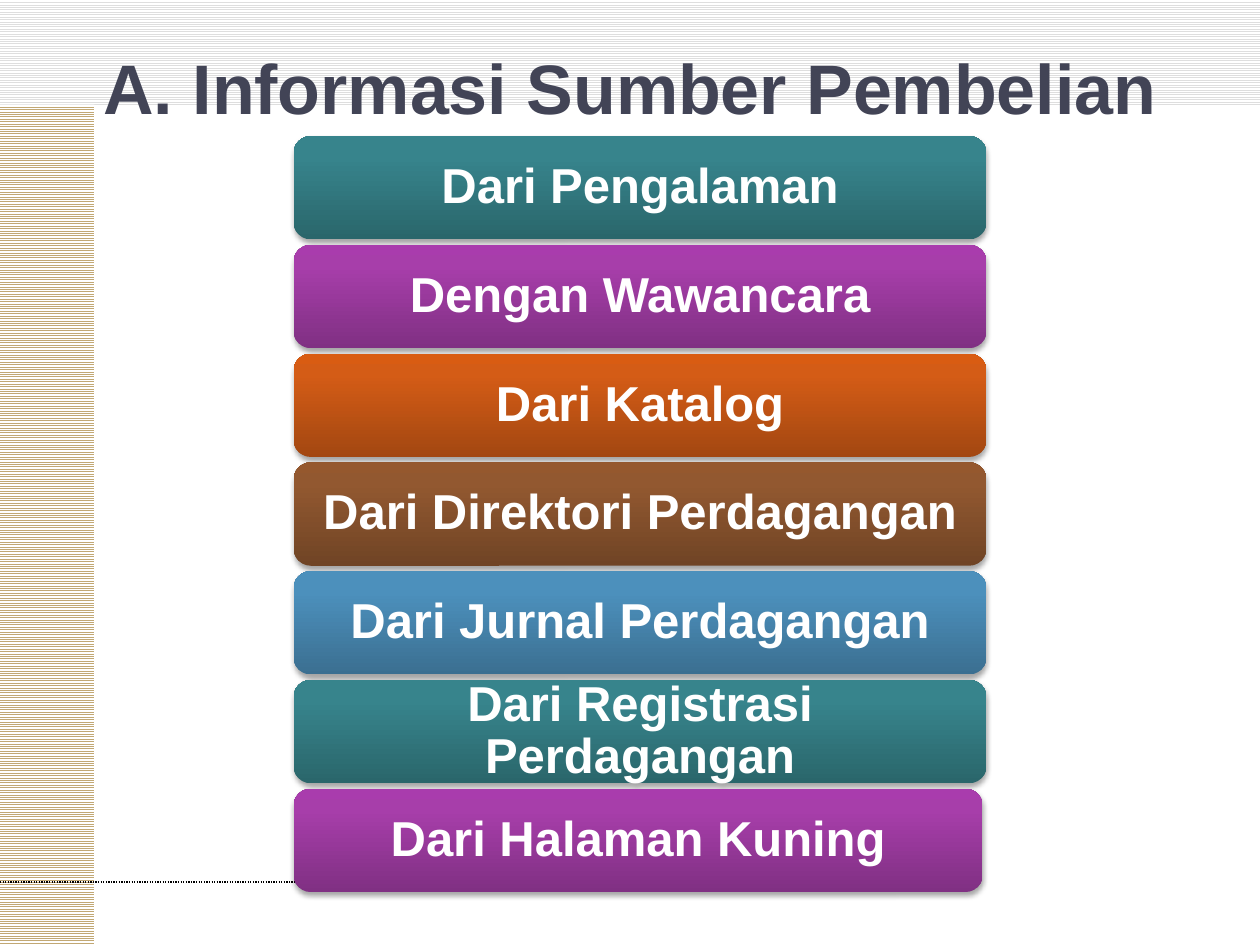
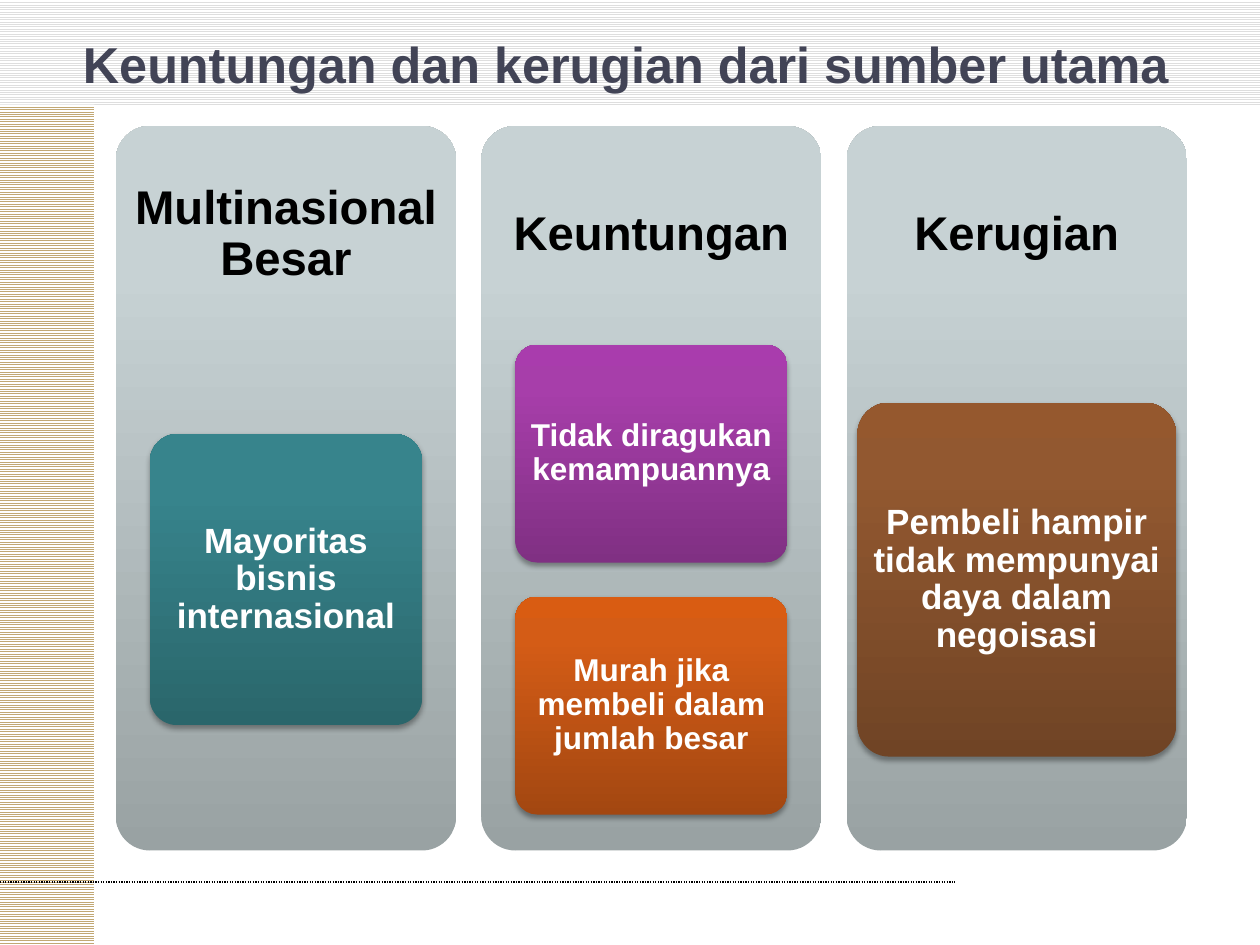
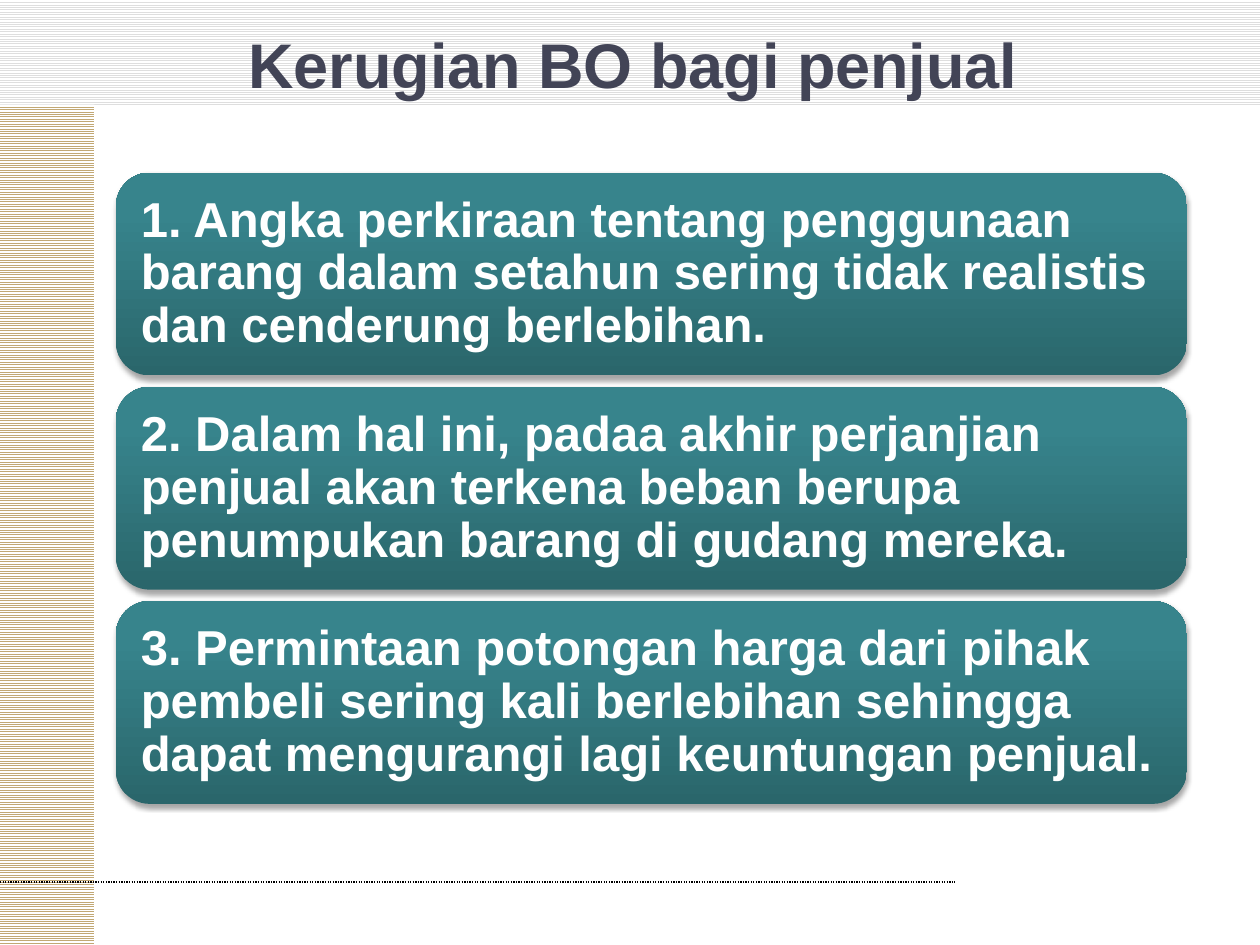
from lxml import etree
from pptx import Presentation
from pptx.dml.color import RGBColor
from pptx.enum.dml import MSO_LINE, MSO_PATTERN
from pptx.enum.shapes import MSO_CONNECTOR, MSO_SHAPE
from pptx.enum.text import MSO_ANCHOR, PP_ALIGN
from pptx.oxml import parse_xml
from pptx.oxml.ns import nsdecls, qn
from pptx.util import Inches, Pt

RECT, ROUND = MSO_SHAPE.RECTANGLE, MSO_SHAPE.ROUNDED_RECTANGLE
STRAIGHT = MSO_CONNECTOR.STRAIGHT
STRIPES, DOTTED = MSO_PATTERN.LIGHT_HORIZONTAL, MSO_LINE.ROUND_DOT
MIDDLE = MSO_ANCHOR.MIDDLE
LEFT, CENTER = PP_ALIGN.LEFT, PP_ALIGN.CENTER

FONT = "Arial"
WHITE, BLACK, INK = "FFFFFF", "000000", "424456"
TEAL = ("2A666B", "37848C", "36868E")
PURPLE = ("803083", "A73EAA", "A93CAD")
ORANGE = ("A34711", "D45C16", "D95C12")
BROWN = ("704425", "925830", "95582E")
BLUE = ("3B6F91", "4C90BC", "4A91BF")
GREY = ("99A2A3", "C7D2D4", "C8D3D5")

BANDS = [((0, 0, 10, 0.83), "DEDEDE"), ((0, 0.83, 0.75, 6.67), "C2A874")]

SOURCES_TITLE = "A. Informasi Sumber Pembelian"
SOURCES = [
    ("Dari Pengalaman", TEAL, 5.5),
    ("Dengan Wawancara", PURPLE, 5.5),
    ("Dari Katalog", ORANGE, 5.5),
    ("Dari Direktori Perdagangan", BROWN, 5.5),
    ("Dari Jurnal Perdagangan", BLUE, 5.5),
    ("Dari Registrasi Perdagangan", TEAL, 5.5),
    ("Dari Halaman Kuning", PURPLE, 5.47),
]

COMPARE_TITLE = "Keuntungan dan kerugian dari sumber utama "
COLUMNS = [
    ("Multinasional Besar", 2.16, 2.31, 20,
     [("Mayoritas bisnis internasional", TEAL)]),
    ("Keuntungan", 2.16, 1.73, 18,
     [("Tidak diragukan kemampuannya", PURPLE),
      ("Murah jika membeli dalam jumlah besar", ORANGE)]),
    ("Kerugian", 2.53, 2.81, 20,
     [("Pembeli hampir tidak mempunyai daya dalam negoisasi", BROWN)]),
]

SELLER_TITLE = "Kerugian BO bagi penjual"
SELLER_LOSSES = [
    "1. Angka perkiraan tentang penggunaan barang dalam setahun sering tidak "
    "realistis dan cenderung berlebihan.",
    "2. Dalam hal ini, padaa akhir perjanjian penjual akan terkena beban "
    "berupa penumpukan barang di gudang mereka.",
    "3. Permintaan potongan harga dari pihak pembeli sering kali berlebihan "
    "sehingga dapat mengurangi lagi keuntungan penjual.",
]


def rgb(value):
    """Turn a hex string into a colour."""
    return RGBColor.from_string(value)


def inches(box):
    """Convert a tuple of numbers to lengths."""
    return [Inches(v) for v in box]


def write(sp, text, size, color, align=CENTER, inset=(0.1, 0.05), spacing=1.0):
    """Put one bold, vertically centred paragraph into a shape."""
    tf = sp.text_frame
    tf.word_wrap = True
    tf.vertical_anchor = MIDDLE
    tf.margin_left = tf.margin_right = Inches(inset[0])
    tf.margin_top = tf.margin_bottom = Inches(inset[1])
    p = tf.paragraphs[0]
    p.text = text
    p.alignment = align
    p.line_spacing = spacing
    p.font.name, p.font.size, p.font.bold = FONT, Pt(size), True
    p.font.color.rgb = rgb(color)


def add_text(s, box, text, size, color, **style):
    """Add a text box."""
    write(s.shapes.add_textbox(*inches(box)), text, size, color, **style)


def add_card(s, box, colors, corner=0.1667, shadow=True):
    """Add a rounded rectangle with an upward gradient."""
    sp = s.shapes.add_shape(ROUND, *inches(box))
    sp.adjustments[0] = corner
    sp.line.fill.background()
    sp.shadow.inherit = False
    stops = "".join(
        f'<a:gs pos="{pos}"><a:srgbClr val="{color}"/></a:gs>'
        for pos, color in zip((0, 80000, 100000), colors))
    sp._element.spPr.find(qn("a:prstGeom")).addnext(parse_xml(
        f'<a:gradFill {nsdecls("a")} rotWithShape="1"><a:gsLst>{stops}</a:gsLst>'
        '<a:lin ang="16200000" scaled="0"/></a:gradFill>'))
    if shadow:
        sp._element.spPr.find(qn("a:effectLst")).append(parse_xml(
            f'<a:outerShdw {nsdecls("a")} blurRad="{Pt(3.1)}" dist="{Pt(1.8)}" '
            'dir="5400000" rotWithShape="0"><a:srgbClr val="000000">'
            '<a:alpha val="35000"/></a:srgbClr></a:outerShdw>'))
    return sp


def add_slide(prs, title, size, title_box=(0.5, 0.25, 9.05, 0.5)):
    """Add a slide with striped bands, dotted line and title."""
    s = prs.slides.add_slide(prs.slide_layouts[6])
    for box, color in BANDS:
        sp = s.shapes.add_shape(RECT, *inches(box))
        sp.shadow.inherit = False
        sp.line.fill.background()
        sp.fill.patterned()
        sp.fill.pattern = STRIPES
        sp.fill.fore_color.rgb = rgb(color)
        sp.fill.back_color.rgb = rgb(WHITE)
    rule = s.shapes.add_connector(STRAIGHT, *inches((0, 7, 7.58, 7)))
    rule.line.color.rgb = rgb(BLACK)
    rule.line.width = Pt(0.75)
    rule.line.dash_style = DOTTED
    etree.SubElement(rule._element.spPr, qn("a:effectLst"))
    add_text(s, title_box, title, size, INK)
    return s


def build_sources(prs):
    """Stack the information sources as bars."""
    s = add_slide(prs, SOURCES_TITLE, 40, (0.5, 0.3, 9, 0.78))
    top, pitch = 1.08, 0.8633
    for i, (text, colors, width) in enumerate(SOURCES):
        sp = add_card(s, (2.33, top + i * pitch, width, 0.82), colors)
        write(sp, text, 28, WHITE, inset=(0.12, 0.06), spacing=0.9)


def build_comparison(prs):
    """Draw three panels, each with a centred stack of cards."""
    s = add_slide(prs, COMPARE_TITLE, 28.8)
    left, top, width, pitch = 0.92, 1, 2.7, 2.9
    middle, gap = 4.6, 0.27
    for i, (heading, card_w, card_h, size, cards) in enumerate(COLUMNS):
        x = left + i * pitch
        add_card(s, (x, top, width, 5.75), GREY, 0.1, shadow=False)
        add_text(s, (x, top, width, 1.73), heading, 27, BLACK,
                 inset=(0.11, 0.11), spacing=0.9)
        card_x = x + (width - card_w) / 2
        y = middle - (len(cards) * (card_h + gap) - gap) / 2
        for j, (text, colors) in enumerate(cards):
            box = (card_x, y + j * (card_h + gap), card_w, card_h)
            write(add_card(s, box, colors, 0.1), text, size, WHITE,
                  inset=(0.05, 0.04), spacing=0.9)


def build_seller_losses(prs):
    """Stack the seller's losses as wide cards."""
    s = add_slide(prs, SELLER_TITLE, 36)
    for i, text in enumerate(SELLER_LOSSES):
        sp = add_card(s, (0.92, 1.37 + i * 1.7, 8.5, 1.61), TEAL)
        write(sp, text, 28, WHITE, LEFT, (0.12, 0.12), 0.9)


def main():
    """Build and save the deck."""
    prs = Presentation()
    prs.slide_width, prs.slide_height = Inches(10), Inches(7.5)
    build_sources(prs)
    build_comparison(prs)
    build_seller_losses(prs)
    prs.save("out.pptx")


if __name__ == "__main__":
    main()
